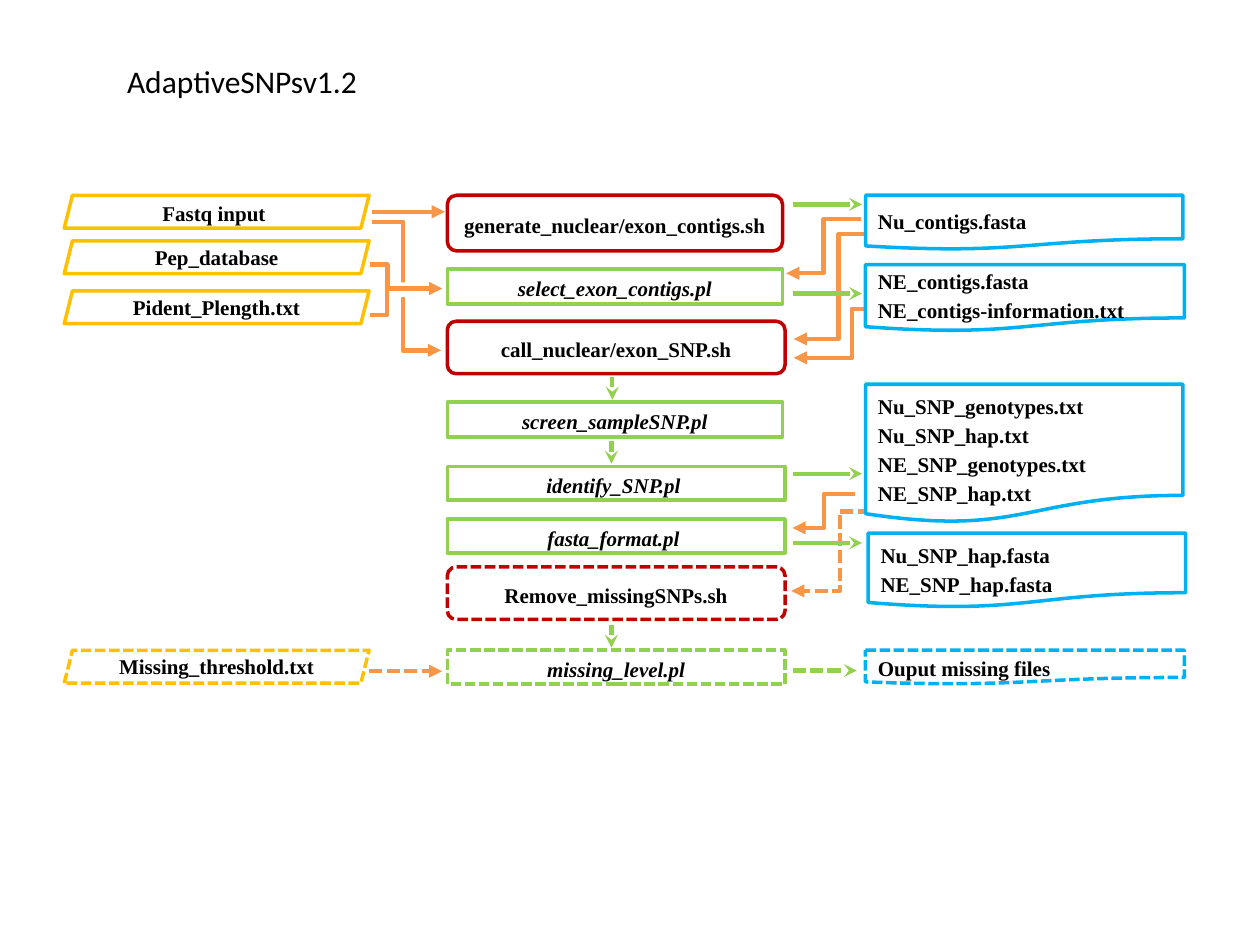
import pptx
import pptx.util
import pptx.dml.color
import pptx.enum.dml
import pptx.enum.shapes
import pptx.enum.text
import pptx.oxml.ns
from lxml import etree

Pt = pptx.util.Pt
SHAPE = pptx.enum.shapes.MSO_SHAPE
CONNECTOR = pptx.enum.shapes.MSO_CONNECTOR
ALIGN = pptx.enum.text.PP_ALIGN
qn = pptx.oxml.ns.qn

YELLOW, RED, GREEN, BLUE, ORANGE = "FFC000", "C00000", "92D050", "00B0F0", "F79646"
INPUT_X, STEP_X, OUTPUT_X = 36.7, 255.6, 494.6
INPUT_W, INPUT_H = 174.2, 18.8
OUT_START, OUT_END = 452.9, 492.6


def color(value):
    return pptx.dml.color.RGBColor.from_string(value)


def set_line(line, stroke, width, dashed):
    line.color.rgb = color(stroke)
    line.width = Pt(width)
    if dashed:
        line.dash_style = pptx.enum.dml.MSO_LINE.SQUARE_DOT


def add_text(sp, lines, size, font, bold=False, italic=False,
             align=ALIGN.LEFT, spacing=1.0, after=0):
    tf = sp.text_frame
    tf.text = "\n".join(lines)
    for p in tf.paragraphs:
        p.alignment = align
        p.line_spacing = spacing
        p.space_after = Pt(after)
        for r in p.runs:
            r.font.size = Pt(size)
            r.font.name = font
            r.font.bold = bold
            r.font.italic = italic
            r.font.color.rgb = color("000000")


def add_box(s, kind, x, y, w, h, fill=None, stroke=None, dashed=False):
    sp = s.shapes.add_shape(kind, Pt(x), Pt(y), Pt(w), Pt(h))
    sp.shadow.inherit = False
    if fill:
        sp.fill.solid()
        sp.fill.fore_color.rgb = color(fill)
    else:
        sp.fill.background()
    if stroke:
        set_line(sp.line, stroke, 2, dashed)
    else:
        sp.line.fill.background()
    return sp


def add_label(sp, lines, insets=(7.2, 3.6, 7.2, 3.6), **style):
    tf = sp.text_frame
    tf.word_wrap = True
    tf.vertical_anchor = pptx.enum.text.MSO_ANCHOR.MIDDLE
    tf.margin_left, tf.margin_top, tf.margin_right, tf.margin_bottom = map(Pt, insets)
    add_text(sp, lines, 12, "Times New Roman", bold=True, **style)


def add_input(s, y, text, fill=None, dashed=False, spacing=0.8,
              insets=(2.9, 5.8, 2.9, 3.6)):
    sp = add_box(s, SHAPE.PARALLELOGRAM, INPUT_X, y, INPUT_W, INPUT_H, fill, YELLOW, dashed)
    add_label(sp, [text], insets, align=ALIGN.CENTER, spacing=spacing, after=10)


def add_script(s, y, w, h, text, dashed=False):
    sp = add_box(s, SHAPE.FLOWCHART_ALTERNATE_PROCESS, STEP_X, y, w, h, None, RED, dashed)
    add_label(sp, [text], align=ALIGN.CENTER, spacing=1.15, after=10)


def add_module(s, y, w, h, text, dashed=False, side=7.2, after=0):
    sp = add_box(s, SHAPE.RECTANGLE, STEP_X, y, w, h, None, GREEN, dashed)
    add_label(sp, [text], (side, 3.6, side, 3.6), italic=True,
              align=ALIGN.CENTER, spacing=1.15, after=after)


def add_output(s, y, w, h, lines, x=OUTPUT_X, dashed=False, insets=(7.2, 5.8, 7.2, 3.6)):
    sp = add_box(s, SHAPE.FLOWCHART_DOCUMENT, x, y, w, h, "FFFFFF", BLUE, dashed)
    add_label(sp, lines, insets, spacing=1.15)


def add_arrow(s, x1, y1, x2, y2, stroke=ORANGE, head="triangle", dashed=False, bend=None):
    kind = CONNECTOR.ELBOW if bend else CONNECTOR.STRAIGHT
    cx = s.shapes.add_connector(kind, Pt(x1), Pt(y1), Pt(x2), Pt(y2))
    set_line(cx.line, stroke, 2.5, dashed)
    etree.SubElement(cx.line._get_or_add_ln(), qn("a:tailEnd"), type=head)
    sp_pr = cx._element.spPr
    etree.SubElement(sp_pr, qn("a:effectLst"))
    if bend:
        guides = sp_pr.find(qn("a:prstGeom")).find(qn("a:avLst"))
        etree.SubElement(guides, qn("a:gd"), name="adj1", fmla=f"val {round(bend * 100000)}")


def add_title(s):
    sp = s.shapes.add_textbox(Pt(65.5), Pt(31.7), Pt(147.6), Pt(29))
    sp.text_frame.word_wrap = False
    add_text(sp, ["AdaptiveSNPsv1.2"], 18, "Calibri")


def add_inputs(s):
    add_input(s, 111.6, "Fastq input\u00a0", spacing=1.15, insets=(7.2, 3.6, 7.2, 3.6))
    add_input(s, 137.6, "Pep_database")
    add_input(s, 166.2, "Pident_Plength.txt")
    add_input(s, 371.6, "Missing_threshold.txt", "FFFFFF", True)


def add_steps(s):
    add_script(s, 111.6, 191.6, 31.8, "generate_nuclear/exon_contigs.sh")
    add_module(s, 153.8, 191.6, 19.8, "select_exon_contigs.pl", side=2.9, after=10)
    add_script(s, 183.6, 193, 30, "call_nuclear/exon_SNP.sh")
    add_module(s, 229.8, 191.6, 19.8, "screen_sampleSNP.pl", side=2.9, after=10)
    add_module(s, 266.5, 193, 19.4, "identify_SNP.pl\u00a0")
    add_module(s, 296.6, 193, 19.4, "fasta_format.pl\u00a0")
    add_script(s, 324, 193, 30, "Remove_missingSNPs.sh", True)
    add_module(s, 371.6, 193, 19.4, "missing_level.pl", True)


def add_outputs(s):
    add_output(s, 111.6, 181.4, 31, ["Nu_contigs.fasta"])
    add_output(s, 151.2, 182.2, 38, ["NE_contigs.fasta", "NE_contigs-information.txt"])
    add_output(s, 219.6, 181.4, 79.2,
               ["Nu_SNP_genotypes.txt", "Nu_SNP_hap.txt",
                "NE_SNP_genotypes.txt", "NE_SNP_hap.txt"], insets=(7.2, 8.6, 0, 0))
    add_output(s, 304.6, 181.4, 42.5, ["Nu_SNP_hap.fasta", "NE_SNP_hap.fasta"],
               x=496.1, insets=(7.2, 8.6, 7.2, 3.6))
    add_output(s, 371.6, 182.2, 19.4, ["Ouput missing files"], dashed=True)


def add_returns(s):
    for x1, y1, x2, y2, dashed in [
        (507.6, 292.3, 452.2, 337.7, True),
        (491.8, 125.3, 449.3, 156.2, False),
        (519.8, 176.4, 453.6, 204.5, False),
        (504.7, 133.9, 453.6, 193.7, False),
        (488.9, 282.2, 452.9, 301.7, False),
    ]:
        add_arrow(s, x1, y1, x2, y2, dashed=dashed, bend=0.5)


def add_feeds(s):
    add_arrow(s, 212.4, 126.7, 252, 200.2, bend=0.454)
    add_box(s, SHAPE.RECTANGLE, 225.4, 161.3, 12.2, 8.6, "FFFFFF")
    add_arrow(s, 211.7, 151.2, 252.4, 164.9, head="stealth", bend=0.238)
    add_arrow(s, 211.7, 180, 252.7, 164.9, bend=0.228)
    add_arrow(s, 212.4, 121, 254.2, 121)
    add_arrow(s, 211, 383.6, 252.7, 383.6, dashed=True)


def add_flow(s):
    for y in (116.8, 167.8, 270.7, 310.3):
        add_arrow(s, OUT_START, y, OUT_END, y, GREEN, "stealth")
    add_arrow(s, OUT_START, 383.2, 489.6, 383.2, GREEN, "stealth", True)
    for x, y in ((349.9, 215.4), (349.4, 252), (349.4, 357.1)):
        add_arrow(s, x, y, x, y + 13, GREEN, "stealth")


def main():
    prs = pptx.Presentation()
    prs.slide_width, prs.slide_height = Pt(720), Pt(540)
    s = prs.slides.add_slide(prs.slide_layouts[6])
    add_title(s)
    add_returns(s)
    add_inputs(s)
    add_steps(s)
    add_outputs(s)
    add_feeds(s)
    add_flow(s)
    prs.save("out.pptx")


main()
